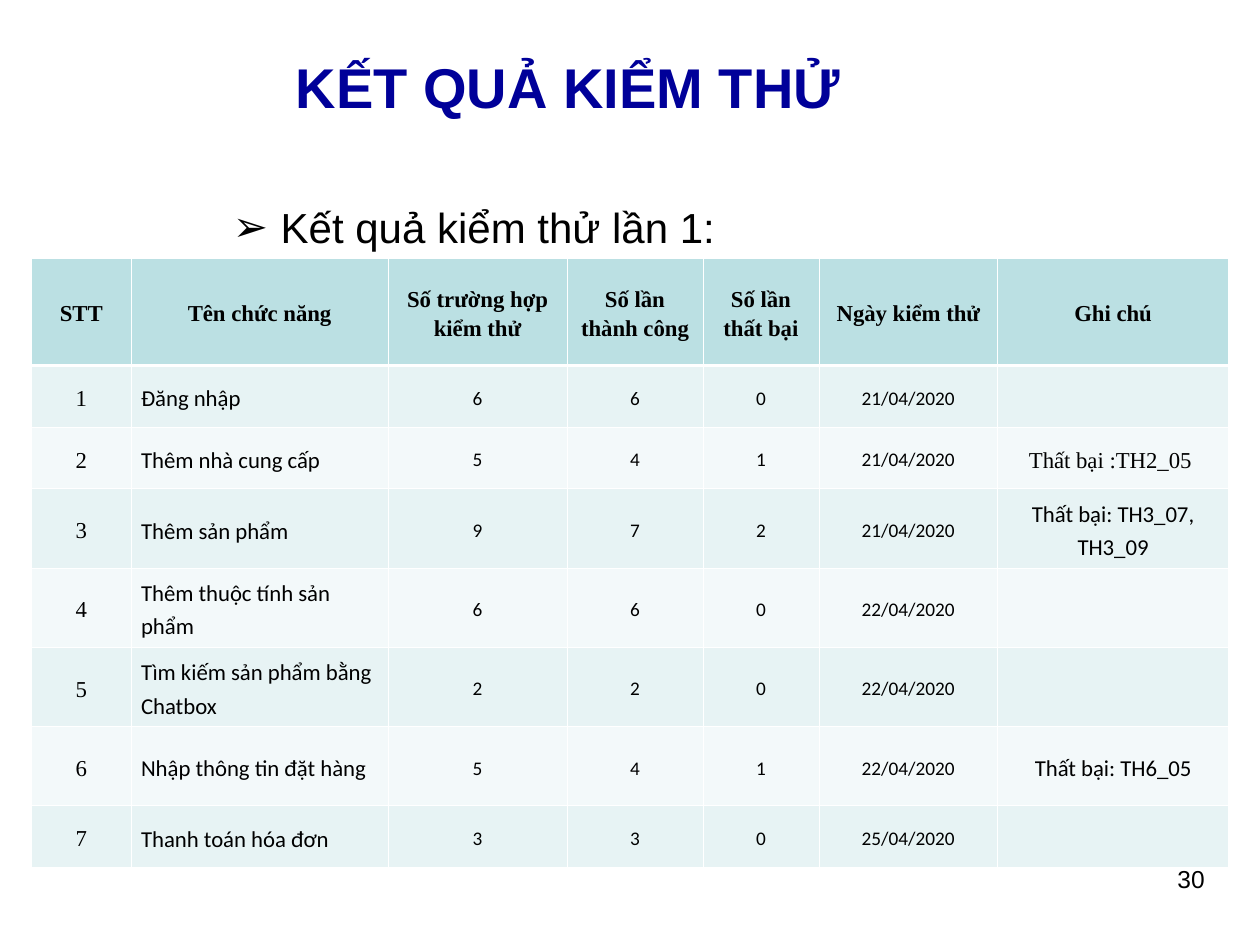
from lxml import etree
from pptx import Presentation
from pptx.dml.color import RGBColor
from pptx.enum.text import MSO_ANCHOR, PP_ALIGN
from pptx.oxml.ns import qn
from pptx.util import Inches, Pt

LEFT, MID, RIGHT = PP_ALIGN.LEFT, PP_ALIGN.CENTER, PP_ALIGN.RIGHT
TOP, CENTER = MSO_ANCHOR.TOP, MSO_ANCHOR.MIDDLE
BLACK, NAVY, WHITE = "000000", "000099", "FFFFFF"
TEAL, BANDS = "BBE0E3", ("E7F3F4", "F3F9FA")
SERIF, SANS = "Times New Roman", "Calibri"

COLS = (0.79, 2.04, 1.42, 1.08, 0.92, 1.42, 1.83)
ROWS = (0.85, 0.49, 0.49, 0.63, 0.52, 0.52, 0.63, 0.49)
HEADS = ("STT", "Tên chức năng", "Số trường hợp kiểm thử", "Số lần thành công",
         "Số lần thất bại", "Ngày kiểm thử", "Ghi chú")
TESTS = (
    ("Đăng nhập", 6, 6, "21/04/2020", ""),
    ("Thêm nhà cung cấp", 5, 4, "21/04/2020", "Thất bại :TH2_05 "),
    ("Thêm sản phẩm", 9, 7, "21/04/2020", "Thất bại: TH3_07, TH3_09"),
    ("Thêm thuộc tính sản phẩm", 6, 6, "22/04/2020", ""),
    ("Tìm kiếm sản phẩm bằng Chatbox", 2, 2, "22/04/2020", ""),
    ("Nhập thông tin đặt hàng", 5, 4, "22/04/2020", "Thất bại: TH6_05"),
    ("Thanh toán hóa đơn", 3, 3, "25/04/2020", ""),
)
HEAD = {"name": SERIF, "size": Pt(13), "bold": True}
INDEX = {"name": SERIF, "size": Pt(13), "bold": False}
LABEL = {"name": SANS, "size": Pt(13), "bold": False}
COUNT = {"name": SANS, "size": Pt(11), "bold": False}
FORMATS = (INDEX, LABEL, COUNT, COUNT, COUNT, COUNT, LABEL)


def paint(color):
    """Turn a hex string into a colour."""
    return RGBColor.from_string(color)


def style(font, form, color=BLACK):
    """Set the font attributes from a dict."""
    for key, value in form.items():
        setattr(font, key, value)
    font.color.rgb = paint(color)


def write(slide, box, text, form, color=BLACK, align=LEFT, anchor=TOP):
    """Place one line of text in a box and return its paragraph."""
    frame = slide.shapes.add_textbox(*map(Inches, box)).text_frame
    frame.word_wrap, frame.vertical_anchor = True, anchor
    para = frame.paragraphs[0]
    para.alignment = align
    run = para.add_run()
    run.text = text
    style(run.font, form, color)
    return para


def mark(para, char, indent):
    """Give a paragraph a hanging bullet."""
    props = para._p.get_or_add_pPr()
    props.set("marL", str(Inches(indent)))
    props.set("indent", str(-Inches(indent)))
    shade = etree.SubElement(props, qn("a:buClr"))
    etree.SubElement(shade, qn("a:srgbClr"), val=BLACK)
    etree.SubElement(props, qn("a:buFont"), typeface="Arial")
    etree.SubElement(props, qn("a:buChar"), char=char)


def edge(cell, widths):
    """Draw white borders, listed left, right, top, bottom."""
    props = cell._tc.get_or_add_tcPr()
    for spot, (side, width) in enumerate(zip("LRTB", widths)):
        line = etree.Element(qn(f"a:ln{side}"), w=str(Pt(width)))
        solid = etree.SubElement(line, qn("a:solidFill"))
        etree.SubElement(solid, qn("a:srgbClr"), val=WHITE)
        props.insert(spot, line)


def fill(cell, text, form, color, align):
    """Write and colour one table cell."""
    cell.fill.solid()
    cell.fill.fore_color.rgb = paint(color)
    cell.vertical_anchor = CENTER
    cell.margin_left = cell.margin_right = Inches(0.08)
    cell.margin_top = cell.margin_bottom = Inches(0.05)
    if text:
        para = cell.text_frame.paragraphs[0]
        para.alignment, para.line_spacing = align, 1.2
        run = para.add_run()
        run.text = text
        style(run.font, form)


def grid(slide, box):
    """Build the table of test results."""
    table = slide.shapes.add_table(len(ROWS), len(COLS), *map(Inches, box)).table
    table.horz_banding = False
    for col, width in zip(table.columns, COLS):
        col.width = Inches(width)
    for row, height in zip(table.rows, ROWS):
        row.height = Inches(height)
    lines = [HEADS]
    for num, (name, total, good, day, note) in enumerate(TESTS, 1):
        lines.append((num, name, total, good, total - good, day, note))
    for r, line in enumerate(lines):
        for c, value in enumerate(line):
            cell = table.cell(r, c)
            form = FORMATS[c] if r else HEAD
            if (r, c) == (2, 6):
                form = INDEX
            color = BANDS[(r - 1) % 2] if r else TEAL
            fill(cell, str(value), form, color, LEFT if r and c == 1 else MID)
            edge(cell, (0.45, 0.45, 1.47 if r == 1 else 0.45, 0.45 if r else 1.47))


def main():
    """Build and save the slide."""
    deck = Presentation()
    deck.slide_width, deck.slide_height = Inches(10), Inches(7.5)
    slide = deck.slides.add_slide(deck.slide_layouts[6])
    grid(slide, (0.25, 2.05, 9.5, 4.64))
    write(slide, (7.33, 6.81, 2.33, 0.61), "30",
          {"name": "Arial", "size": Pt(14)}, align=RIGHT)
    para = write(slide, (1.75, 1.55, 4.2, 0.5), "Kết quả kiểm thử lần 1:",
                 {"name": "Arial", "size": Pt(24)})
    mark(para, "➢", 0.38)
    write(slide, (2.25, 0.17, 7.75, 1.03), "KẾT QUẢ KIỂM THỬ",
          {"name": "Arial", "size": Pt(32), "bold": True}, NAVY, anchor=CENTER)
    deck.save("out.pptx")


if __name__ == "__main__":
    main()
